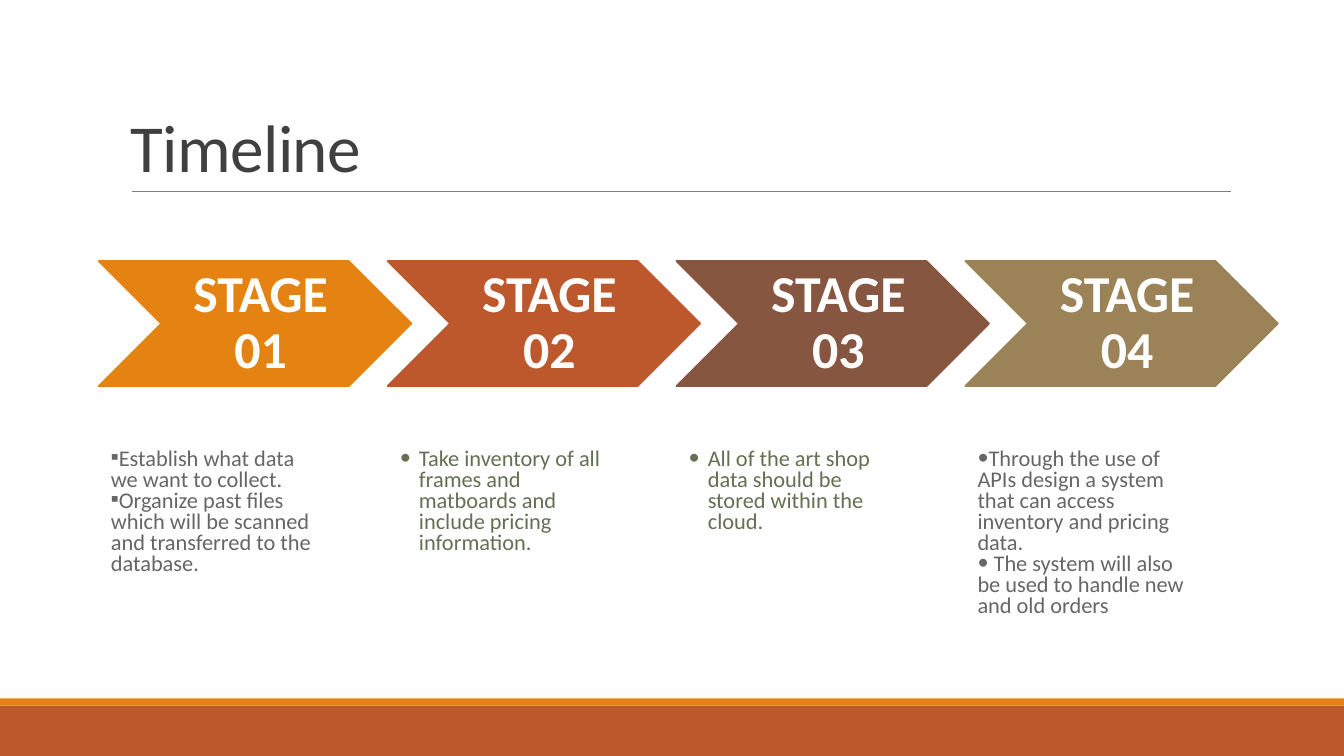
import pptx
import pptx.util
import pptx.dml.color
import pptx.enum.shapes
import pptx.enum.text
import pptx.oxml.ns
from lxml import etree

Inches = pptx.util.Inches
Pt = pptx.util.Pt
RGBColor = pptx.dml.color.RGBColor
MSO_SHAPE = pptx.enum.shapes.MSO_SHAPE
PP_ALIGN = pptx.enum.text.PP_ALIGN
MSO_ANCHOR = pptx.enum.text.MSO_ANCHOR
qn = pptx.oxml.ns.qn

ORANGE = RGBColor(0xE4, 0x83, 0x12)
RUST = RGBColor(0xBD, 0x58, 0x2C)
BROWN = RGBColor(0x86, 0x56, 0x40)
KHAKI = RGBColor(0x9B, 0x83, 0x57)
WHITE = RGBColor(0xFF, 0xFF, 0xFF)
TITLE_GREY = RGBColor(0x40, 0x40, 0x40)
RULE_GREY = RGBColor(0x80, 0x80, 0x80)
NOTE_GREY = RGBColor(0x66, 0x66, 0x66)
NOTE_GREEN = RGBColor(0x63, 0x70, 0x52)

FONT = "Calibri"
FIRST_LEFT = 0.98
STAGE_STEP = 2.865
HANGING = 0.19

# Chevron colour, note colour, bullet, hanging indent, notes
STAGES = [
    (ORANGE, NOTE_GREY, "▪", 0, [
        "Establish what data we want to collect.",
        "Organize past files which will be scanned and transferred to the database."]),
    (RUST, NOTE_GREEN, "•", HANGING, [
        "Take inventory of all frames and matboards and include pricing information."]),
    (BROWN, NOTE_GREEN, "•", HANGING, [
        "All of the art shop data should be stored within the cloud."]),
    (KHAKI, NOTE_GREY, "•", 0, [
        "Through the use of APIs design a system that can access inventory and pricing data.",
        " The system will also be used to handle new and old orders"]),
]


def set_bullet(paragraph, bullet, hanging):
    properties = paragraph._p.get_or_add_pPr()
    properties.set("marL", str(Inches(hanging)))
    properties.set("indent", str(-Inches(hanging)))
    etree.SubElement(properties, qn("a:buFont")).set("typeface", FONT)
    etree.SubElement(properties, qn("a:buChar")).set("char", bullet)


def write_text(shape, paragraphs, size, color, bold=False, align=PP_ALIGN.LEFT,
               anchor=MSO_ANCHOR.TOP, insets=(0.1, 0.05, 0.1, 0.05),
               line_spacing=1.0, bullet=None, hanging=0, tracking=0):
    """Fill a shape with text; insets run left, top, right, bottom in inches."""
    frame = shape.text_frame
    frame.word_wrap = True
    frame.vertical_anchor = anchor
    (frame.margin_left, frame.margin_top,
     frame.margin_right, frame.margin_bottom) = map(Inches, insets)
    for index, text in enumerate(paragraphs):
        paragraph = frame.add_paragraph() if index else frame.paragraphs[0]
        paragraph.alignment = align
        paragraph.line_spacing = line_spacing
        if bullet:
            set_bullet(paragraph, bullet, hanging)
        run = paragraph.add_run()
        run.text = text
        run.font.name = FONT
        run.font.size = Pt(size)
        run.font.bold = bold
        run.font.color.rgb = color
        if tracking:
            run.font._element.set("spc", str(round(tracking * 100)))


def add_text_box(slide, left, top, width, height, paragraphs, **text_format):
    box = slide.shapes.add_textbox(
        Inches(left), Inches(top), Inches(width), Inches(height))
    write_text(box, paragraphs, **text_format)


def add_filled_shape(slide, kind, left, top, width, height, color):
    shape = slide.shapes.add_shape(
        kind, Inches(left), Inches(top), Inches(width), Inches(height))
    shape.shadow.inherit = False
    shape.fill.solid()
    shape.fill.fore_color.rgb = color
    shape.line.fill.background()
    return shape


def add_title_rule(slide):
    rule = slide.shapes.add_connector(
        pptx.enum.shapes.MSO_CONNECTOR.STRAIGHT,
        Inches(1.31), Inches(1.9), Inches(12.21), Inches(1.9))
    rule.line.color.rgb = RULE_GREY
    rule.line.width = Pt(0.5)
    etree.SubElement(rule._element.spPr, qn("a:effectLst"))


def add_stage(slide, number, color, note_color, bullet, hanging, notes):
    left = FIRST_LEFT + (number - 1) * STAGE_STEP
    chevron = add_filled_shape(slide, MSO_SHAPE.CHEVRON, left, 2.59, 3.1, 1.24, color)
    chevron.line.color.rgb = color
    chevron.line.width = Pt(1.25)
    write_text(chevron, [f"STAGE {number:02d}"], size=37, color=WHITE, bold=True,
               align=PP_ALIGN.CENTER, anchor=MSO_ANCHOR.MIDDLE,
               insets=(0.16, 0.05, 0.05, 0.05), line_spacing=0.9)
    add_text_box(slide, left, 3.99, 2.48, 2.16, notes, size=16, color=note_color,
                 insets=(0.12, 0.47, 0.31, 0), line_spacing=Pt(15),
                 bullet=bullet, hanging=hanging)


def main():
    presentation = pptx.Presentation()
    presentation.slide_width = Inches(13.33)
    presentation.slide_height = Inches(7.5)
    slide = presentation.slides.add_slide(presentation.slide_layouts[6])

    add_filled_shape(slide, MSO_SHAPE.RECTANGLE, 0, 7, 13.33, 0.5, RUST)
    add_filled_shape(slide, MSO_SHAPE.RECTANGLE, 0, 6.93, 13.33, 0.07, ORANGE)
    add_title_rule(slide)
    add_text_box(slide, 1.2, 0.31, 11, 1.59, ["Timeline"], size=48, color=TITLE_GREY,
                 anchor=MSO_ANCHOR.BOTTOM, line_spacing=0.85, tracking=-0.5)
    for number, stage in enumerate(STAGES, start=1):
        add_stage(slide, number, *stage)

    presentation.save("out.pptx")


if __name__ == "__main__":
    main()
